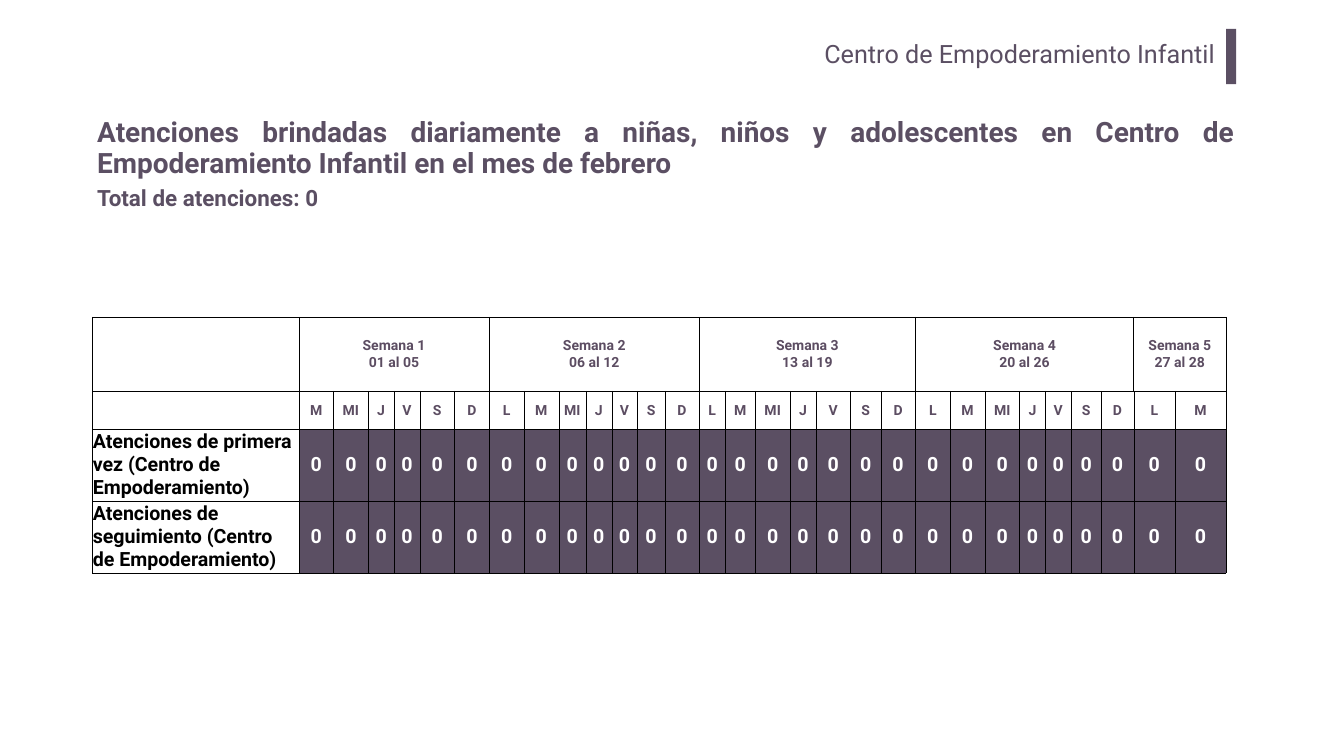
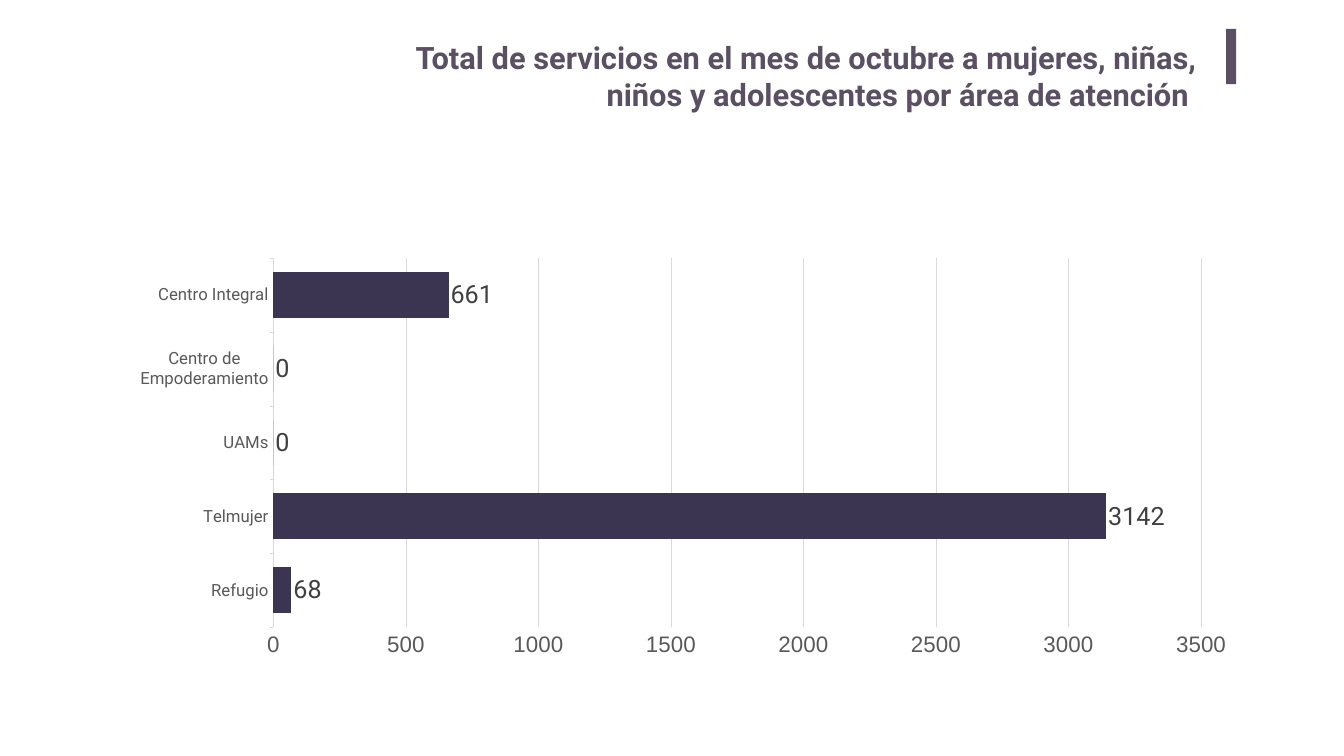
from dataclasses import dataclass

from lxml import etree
from pptx import Presentation
from pptx.chart.data import CategoryChartData
from pptx.dml.color import RGBColor
from pptx.enum.chart import XL_CHART_TYPE, XL_LABEL_POSITION, XL_TICK_MARK
from pptx.enum.shapes import MSO_SHAPE
from pptx.enum.text import MSO_ANCHOR, MSO_AUTO_SIZE, PP_ALIGN
from pptx.oxml.ns import qn
from pptx.slide import Slide
from pptx.table import _Cell
from pptx.text.text import Font, TextFrame
from pptx.util import Cm, Pt

LEFT, CENTER, RIGHT, JUSTIFY = PP_ALIGN.LEFT, PP_ALIGN.CENTER, PP_ALIGN.RIGHT, PP_ALIGN.JUSTIFY
TOP, MIDDLE = MSO_ANCHOR.TOP, MSO_ANCHOR.MIDDLE
NO_FIT, GROW = MSO_AUTO_SIZE.NONE, MSO_AUTO_SIZE.SHAPE_TO_FIT_TEXT
RECTANGLE = MSO_SHAPE.RECTANGLE
BAR_CLUSTERED = XL_CHART_TYPE.BAR_CLUSTERED
OUTSIDE_END = XL_LABEL_POSITION.OUTSIDE_END
TICK_OUT = XL_TICK_MARK.OUTSIDE


@dataclass(frozen=True)
class TextStyle:
    size: float
    color: str
    bold: bool = False
    font: str = "Roboto"


@dataclass(frozen=True)
class Theme:
    purple: str = "5B4F63"
    white: str = "FFFFFF"
    black: str = "000000"
    bar: str = "3C3551"
    grid: str = "D9D9D9"
    header: TextStyle = TextStyle(36, "5B4F63")
    heading: TextStyle = TextStyle(40, "5B4F63", True)
    total: TextStyle = TextStyle(32, "5B4F63", True)
    chart_title: TextStyle = TextStyle(44, "5B4F63", True)
    calendar: TextStyle = TextStyle(20, "5C4D62", True)
    row_label: TextStyle = TextStyle(28, "000000", True)
    count: TextStyle = TextStyle(28, "FFFFFF", True)
    chart_base: TextStyle = TextStyle(10, "000000", font="Arial")
    category: TextStyle = TextStyle(24, "595959")
    scale: TextStyle = TextStyle(32, "595959", font="Arial")
    bar_label: TextStyle = TextStyle(36, "404040")


@dataclass(frozen=True)
class Box:
    """Left, top, width and height in centimetres."""
    left: float
    top: float
    width: float
    height: float

    def lengths(self) -> tuple[Cm, Cm, Cm, Cm]:
        return Cm(self.left), Cm(self.top), Cm(self.width), Cm(self.height)


@dataclass(frozen=True)
class Week:
    name: str
    dates: str
    first_day: int
    widths: tuple[float, ...]

    def days(self) -> tuple[str, ...]:
        return DAYS[self.first_day:self.first_day + len(self.widths)]


THEME = Theme()
DAYS = ("L", "M", "MI", "J", "V", "S", "D")
WEEKS = (
    Week("Semana 1", "01 al 05", 1, (1.75, 1.75, 1.3, 1.3, 1.75, 1.75)),
    Week("Semana 2", "06 al 12", 0, (1.75, 1.75, 1.37, 1.3, 1.3, 1.37, 1.75)),
    Week("Semana 3", "13 al 19", 0, (1.3, 1.52, 1.75, 1.3, 1.75, 1.52, 1.75)),
    Week("Semana 4", "20 al 26", 0, (1.75, 1.75, 1.75, 1.3, 1.3, 1.52, 1.63)),
    Week("Semana 5", "27 al 28", 0, (2.08, 2.57)),
)
CARE_ROWS = (
    "Atenciones de primera vez (Centro de Empoderamiento)",
    "Atenciones de seguimiento (Centro de Empoderamiento)",
)
LABEL_WIDTH = 10.41
ROW_HEIGHTS = (3.73, 1.9, 3.63, 3.63)
SERVICES = {
    "Refugio": 68,
    "Telmujer": 3142,
    "UAMs": 0,
    "Centro de Empoderamiento": 0,
    "Centro Integral": 661,
}
TEXT_INSETS = (0.25, 0.13, 0.25, 0.13)
WIDE_INSETS = (0.51, 0.25, 0.51, 0.25)
CELL_INSETS = (0.03, 0.03, 0.03, 0)


# Shared helpers

def rgb(color: str) -> RGBColor:
    return RGBColor.from_string(color)


def set_font(font: Font, style: TextStyle) -> None:
    values = {"name": style.font, "size": Pt(style.size), "bold": style.bold}
    for name, value in values.items():
        setattr(font, name, value)
    font.color.rgb = rgb(style.color)


def set_margins(target: TextFrame | _Cell, insets: tuple[float, ...]) -> None:
    for side, inset in zip(("left", "top", "right", "bottom"), insets):
        setattr(target, f"margin_{side}", Cm(inset))


def write(frame: TextFrame, style: TextStyle, align: PP_ALIGN, *lines: str,
          line_spacing: float | None = None) -> None:
    para = frame.paragraphs[0]
    para.alignment = align
    if line_spacing:
        para.line_spacing = line_spacing
    for index, line in enumerate(lines):
        if index:
            para.add_line_break()
        span = para.add_run()
        span.text = line
        set_font(span.font, style)


def format_frame(frame: TextFrame, insets: tuple[float, ...],
                 anchor: MSO_ANCHOR = TOP, fit: MSO_AUTO_SIZE = NO_FIT) -> None:
    values = {"word_wrap": True, "auto_size": fit, "vertical_anchor": anchor}
    for name, value in values.items():
        setattr(frame, name, value)
    set_margins(frame, insets)


def place_title(page: Slide, box: Box) -> TextFrame:
    title = page.shapes.title
    for name, value in zip(("left", "top", "width", "height"), box.lengths()):
        setattr(title, name, value)
    return title.text_frame


def add_page(deck: Presentation) -> Slide:
    """Add a slide with a title and the accent bar at the top right."""
    page = deck.slides.add_slide(deck.slide_layouts[5])
    accent = page.shapes.add_shape(RECTANGLE, *Box(61.8, 1.45, 0.51, 2.79).lengths())
    accent.shadow.inherit = False
    accent.fill.solid()
    accent.fill.fore_color.rgb = rgb(THEME.purple)
    accent.line.fill.background()
    return page


# Attendance table

def set_borders(cell: _Cell, widths: tuple[float, ...]) -> None:
    """Widths are points for left, right, top and bottom."""
    properties = cell._tc.get_or_add_tcPr()
    for index, (side, width) in enumerate(zip("LRTB", widths)):
        line = etree.Element(qn(f"a:ln{side}"), w=str(Pt(width)))
        fill = etree.SubElement(line, qn("a:solidFill"))
        etree.SubElement(fill, qn("a:srgbClr"), val=THEME.black)
        properties.insert(index, line)


def fill_cell(cell: _Cell, style: TextStyle, *lines: str, align: PP_ALIGN = CENTER,
              fill: str | None = None,
              borders: tuple[float, ...] = (0.5, 0.5, 0.5, 0.5)) -> None:
    cell.vertical_anchor = MIDDLE
    set_margins(cell, CELL_INSETS)
    if fill:
        cell.fill.solid()
        cell.fill.fore_color.rgb = rgb(fill)
    else:
        cell.fill.background()
    set_borders(cell, borders)
    write(cell.text_frame, style, align, *lines)


def add_attendance_table(page: Slide) -> None:
    widths = [LABEL_WIDTH] + [width for week in WEEKS for width in week.widths]
    box = Box(4.65, 15.98, sum(widths), sum(ROW_HEIGHTS))
    table = page.shapes.add_table(len(ROW_HEIGHTS), len(widths), *box.lengths()).table
    table.first_row = table.horz_banding = False
    for column, width in zip(table.columns, widths):
        column.width = Cm(width)
    for row, height in zip(table.rows, ROW_HEIGHTS):
        row.height = Cm(height)

    # Weeks and days
    fill_cell(table.cell(0, 0), THEME.calendar, fill=THEME.white, borders=(0.5, 1, 0.5, 0.5))
    fill_cell(table.cell(1, 0), THEME.calendar, fill=THEME.white)
    start = 1
    for week in WEEKS:
        end = start + len(week.widths)
        for col, day in enumerate(week.days(), start):
            fill_cell(table.cell(0, col), THEME.calendar, borders=(1, 1, 1, 0.5))
            fill_cell(table.cell(1, col), THEME.calendar, day)
        table.cell(0, start).merge(table.cell(0, end - 1))
        write(table.cell(0, start).text_frame, THEME.calendar, CENTER, week.name, week.dates)
        start = end

    # Daily counts
    for row, label in enumerate(CARE_ROWS, 2):
        fill_cell(table.cell(row, 0), THEME.row_label, label, align=LEFT, fill=THEME.white)
        for col in range(1, len(widths)):
            fill_cell(table.cell(row, col), THEME.count, "0", fill=THEME.purple)


def build_attendance(deck: Presentation) -> None:
    page = add_page(deck)
    header = page.shapes.add_textbox(*Box(10.19, 1.7, 51.56, 2.59).lengths()).text_frame
    format_frame(header, WIDE_INSETS)
    write(header, THEME.header, RIGHT, "Centro de Empoderamiento Infantil")

    heading = place_title(page, Box(4.65, 5.66, 57.81, 3.68))
    format_frame(heading, TEXT_INSETS, MIDDLE)
    write(heading, THEME.heading, JUSTIFY,
          "Atenciones brindadas diariamente a niñas, niños y adolescentes en "
          "Centro de Empoderamiento Infantil en el mes de febrero", line_spacing=0.9)

    total = page.shapes.add_textbox(*Box(4.65, 9.17, 14.33, 1.63).lengths()).text_frame
    format_frame(total, TEXT_INSETS, fit=GROW)
    write(total, THEME.total, LEFT, "Total de atenciones: 0")
    add_attendance_table(page)


# Services chart

def set_plot_layout(plot_area: etree._Element, box: tuple[float, ...]) -> None:
    for old in plot_area.findall(qn("c:layout")):
        plot_area.remove(old)
    layout = etree.Element(qn("c:layout"))
    manual = etree.SubElement(layout, qn("c:manualLayout"))
    values = {"layoutTarget": "inner", "xMode": "edge", "yMode": "edge"}
    values.update(zip("xywh", map(str, box)))
    for name, value in values.items():
        etree.SubElement(manual, qn(f"c:{name}"), val=value)
    plot_area.insert(0, layout)


def add_services_chart(page: Slide) -> None:
    data = CategoryChartData(number_format="0")
    data.categories = list(SERVICES)
    data.add_series("Series 1", list(SERVICES.values()))
    box = Box(6.63, 10.16, 55.17, 23.83)
    chart = page.shapes.add_chart(BAR_CLUSTERED, *box.lengths(), data).chart
    chart.has_legend = chart.has_title = False
    set_font(chart.font, THEME.chart_base)
    set_plot_layout(chart.element.xpath("c:chart/c:plotArea")[0], (0.13, 0.12, 0.85, 0.78))

    # Bars and their labels
    plot = chart.plots[0]
    plot.gap_width = 60
    plot.vary_by_categories = False
    series = plot.series[0]
    series.format.fill.solid()
    series.format.fill.fore_color.rgb = rgb(THEME.bar)
    labels = series.data_labels
    label_values = {"show_value": True, "position": OUTSIDE_END,
                    "number_format": "0", "number_format_is_linked": False}
    for name, value in label_values.items():
        setattr(labels, name, value)
    set_font(labels.font, THEME.bar_label)

    # Axes
    categories, scale = chart.category_axis, chart.value_axis
    for axis, style in ((categories, THEME.category), (scale, THEME.scale)):
        axis.major_tick_mark = TICK_OUT
        set_font(axis.tick_labels.font, style)
    scale_values = {"minimum_scale": 0, "maximum_scale": 3500, "major_unit": 500,
                    "has_major_gridlines": True}
    for name, value in scale_values.items():
        setattr(scale, name, value)
    scale.tick_labels.number_format = "0"
    scale.tick_labels.number_format_is_linked = False
    scale.format.line.fill.background()
    for line in (categories.format.line, scale.major_gridlines.format.line):
        line.color.rgb = rgb(THEME.grid)
        line.width = Pt(0.75)


def build_services(deck: Presentation) -> None:
    page = add_page(deck)
    title = place_title(page, Box(16.66, 1.7, 44.2, 5.18))
    format_frame(title, WIDE_INSETS)
    write(title, THEME.chart_title, RIGHT,
          "Total de servicios en el mes de octubre a mujeres, niñas, "
          "niños y adolescentes por área de atención ")
    add_services_chart(page)


def main() -> None:
    deck = Presentation()
    deck.slide_width, deck.slide_height = Cm(67.74), Cm(38.1)
    build_attendance(deck)
    build_services(deck)
    deck.save("out.pptx")


if __name__ == "__main__":
    main()
